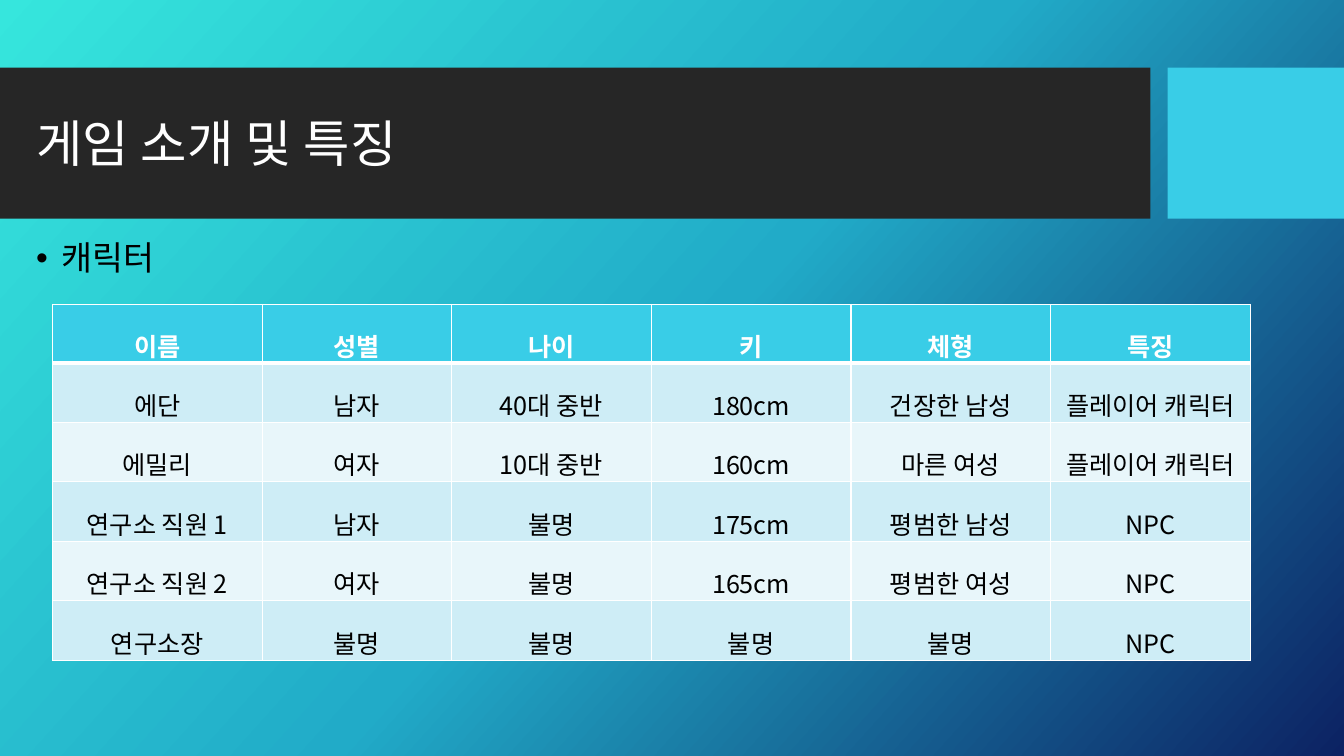
from copy import deepcopy

from pptx import Presentation
from pptx import util as u
from pptx.dml import color
from pptx.enum import shapes, text
from pptx.oxml import ns, parse_xml

SANS = "Noto Sans CJK KR"
A = ns.nsdecls("a")


def rgb(value):
    return color.RGBColor.from_string(value)


def add_run(paragraph, words, size, font, ink, bold=False):
    run = paragraph.add_run()
    run.text = words
    run.font.size = u.Pt(size)
    run.font.name = font
    run.font.bold = bold
    run.font.color.rgb = rgb(ink)
    run.font._element.append(parse_xml(f'<a:ea {A} typeface="{font}"/>'))


deck = Presentation()
deck.slide_width = u.Inches(13.33)
deck.slide_height = u.Inches(7.5)
slide = deck.slides.add_slide(deck.slide_layouts[5])

backdrop = slide.background.fill
backdrop.gradient()
backdrop.gradient_angle = 318
stop_list = slide.element.find(".//" + ns.qn("a:gsLst"))
stop_list.insert(1, deepcopy(stop_list[0]))
for stop, (place, shade) in zip(
    backdrop.gradient_stops, [(0, "36E6DD"), (0.5, "21ABC8"), (1, "0C2263")]
):
    stop.position = place
    stop.color.rgb = rgb(shade)

for left, width, shade in [(0, 11.41, "262626"), (11.58, 1.75, "39CDE7")]:
    band = slide.shapes.add_shape(
        shapes.MSO_SHAPE.RECTANGLE,
        u.Inches(left), u.Inches(0.67), u.Inches(width), u.Inches(1.5),
    )
    band.shadow.inherit = False
    band.fill.solid()
    band.fill.fore_color.rgb = rgb(shade)
    band.line.fill.background()

heading = slide.shapes.title
slide.shapes._spTree.append(heading._element)
heading.left, heading.top = u.Inches(0.26), u.Inches(0.86)
heading.width, heading.height = u.Inches(4.22), u.Inches(1.18)
heading.text_frame.vertical_anchor = text.MSO_ANCHOR.MIDDLE
heading_line = heading.text_frame.paragraphs[0]
heading_line.alignment = text.PP_ALIGN.LEFT
heading_line.line_spacing = 0.9
add_run(heading_line, "게임 소개 및 특징", 36, "Karla", "FFFFFF")

topic = slide.shapes.add_textbox(
    u.Inches(0.26), u.Inches(2.35), u.Inches(11.53), u.Inches(0.6)
)
topic.text_frame.word_wrap = True
topic_line = topic.text_frame.paragraphs[0]
topic_line.line_spacing = 0.9
topic_format = topic_line._p.get_or_add_pPr()
topic_format.set("marL", str(u.Inches(0.25)))
topic_format.set("indent", str(u.Inches(-0.25)))
topic_format.append(parse_xml(f'<a:buFont {A} typeface="Arial"/>'))
topic_format.append(parse_xml(f'<a:buChar {A} char="•"/>'))
add_run(topic_line, "캐릭터", 24, SANS, "000000")

characters = [
    ["이름", "성별", "나이", "키", "체형", "특징"],
    ["에단", "남자", "40대 중반", "180cm", "건장한 남성", "플레이어 캐릭터"],
    ["에밀리", "여자", "10대 중반", "160cm", "마른 여성", "플레이어 캐릭터"],
    ["연구소 직원 1", "남자", "불명", "175cm", "평범한 남성", "NPC"],
    ["연구소 직원 2", "여자", "불명", "165cm", "평범한 여성", "NPC"],
    ["연구소장", "불명", "불명", "불명", "불명", "NPC"],
]
roster = slide.shapes.add_table(
    len(characters), len(characters[0]),
    u.Inches(0.52), u.Inches(3.02), u.Inches(11.86), u.Inches(3.55),
).table
roster.horz_banding = False
for column, width in zip(roster.columns, [2.08, 1.88] + [1.98] * 4):
    column.width = u.Inches(width)

for r, character in enumerate(characters):
    is_header = r == 0
    roster.rows[r].height = u.Inches(0.58 if is_header else 0.59)
    shade = "39CDE7" if is_header else ("E8F6FA", "CEEDF6")[r % 2]
    edges = {"lnL": 1, "lnR": 1, "lnT": 3 if r == 1 else 1, "lnB": 3 if is_header else 1}
    for c, entry in enumerate(character):
        cell = roster.cell(r, c)
        line = cell.text_frame.paragraphs[0]
        line.alignment = text.PP_ALIGN.CENTER
        line.line_spacing = 1.5
        add_run(line, entry, 18, SANS, "FFFFFF" if is_header else "000000", is_header)
        cell_format = cell._tc.get_or_add_tcPr()
        for edge, weight in edges.items():
            cell_format.append(parse_xml(
                f'<a:{edge} {A} w="{u.Pt(weight)}"><a:solidFill>'
                f'<a:srgbClr val="FFFFFF"/></a:solidFill></a:{edge}>'
            ))
        cell.fill.solid()
        cell.fill.fore_color.rgb = rgb(shade)

deck.save("out.pptx")
